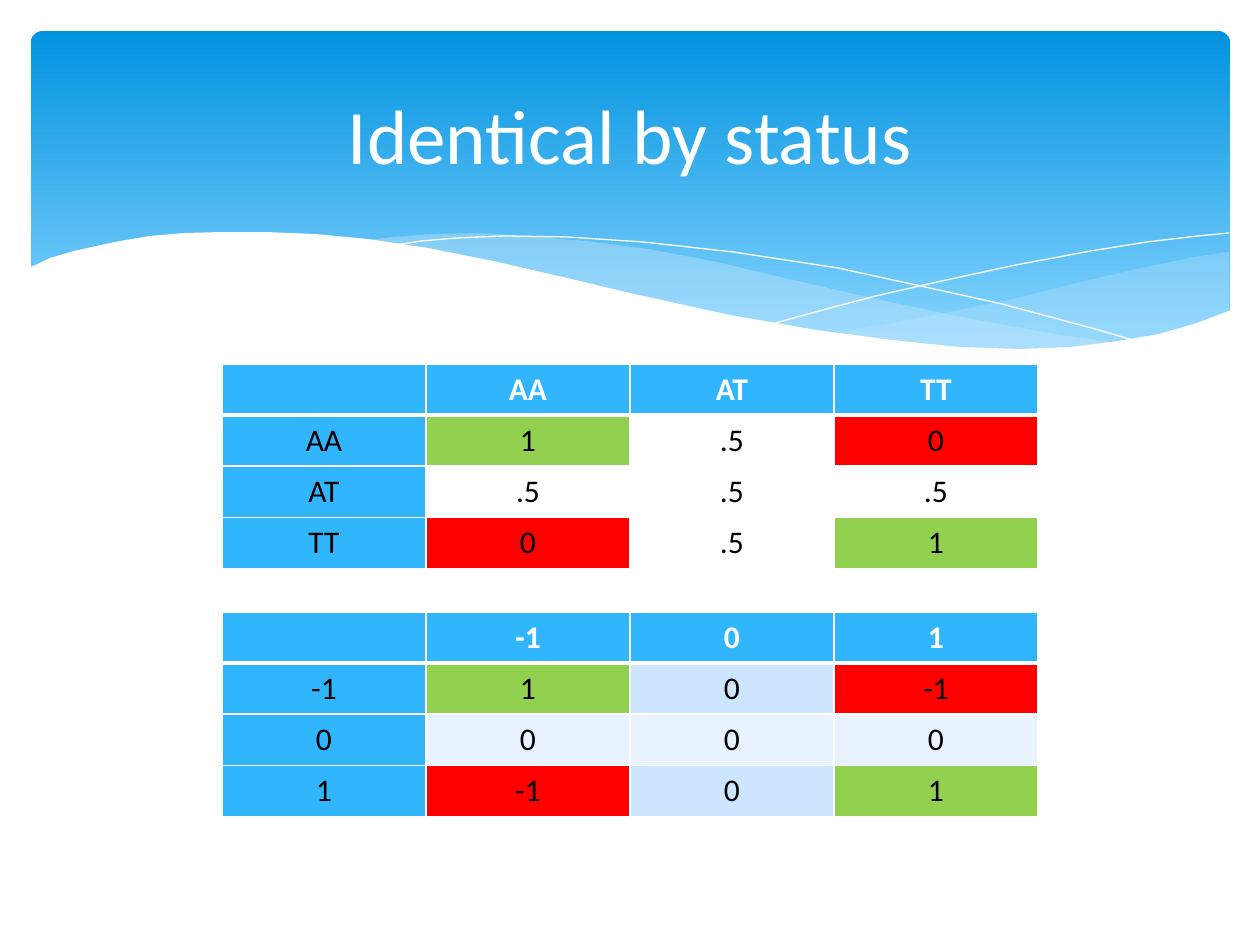
from dataclasses import dataclass

from lxml.etree import SubElement
from pptx import Presentation
from pptx.dml.color import RGBColor
from pptx.enum.shapes import MSO_SHAPE
from pptx.enum.text import MSO_ANCHOR, PP_ALIGN
from pptx.oxml.ns import qn
from pptx.util import Pt


@dataclass(frozen=True)
class Theme:
    font: str = "Calibri"
    title_size: int = 44
    cell_size: int = 18
    white: str = "FFFFFF"
    black: str = "000000"
    sky_top: str = "0293E0"
    sky_bottom: str = "83D3FE"
    wave: str = "C6E7FC"
    header: str = "31B6FD"
    match: str = "92D050"
    mismatch: str = "FF0000"
    band_dark: str = "CEE5FE"
    band_light: str = "E8F3FF"


theme = Theme()
PX = 914400 / 126


def px(*lengths):
    return [round(length * PX) for length in lengths]


def style_text(frame, size, color, bold=False):
    for para in frame.paragraphs:
        para.alignment = PP_ALIGN.CENTER
        for span in para.runs:
            span.font.name = theme.font
            span.font.size = Pt(size)
            span.font.bold = bold
            span.font.color.rgb = RGBColor.from_string(color)


deck = Presentation()
deck.slide_width, deck.slide_height = px(1260, 945)
page = deck.slides.add_slide(deck.slide_layouts[5])

# Blue gradient banner
banner = page.shapes.add_shape(MSO_SHAPE.ROUNDED_RECTANGLE, *px(31, 31, 1199, 340))
banner.shadow.inherit = False
banner.adjustments[0] = 0.034
banner.line.fill.background()
banner.fill.gradient()
banner.fill.gradient_angle = 270
sky = [(0, theme.sky_top), (0.9, theme.sky_bottom)]
for stop, (position, color) in zip(banner.fill.gradient_stops, sky):
    stop.position = position
    stop.color.rgb = RGBColor.from_string(color)

# Waves, back to front: outline points, fill colour (None for a line), opacity in %
right_wave = [
    (1229, 252), (1194, 257), (1142, 268), (1085, 281), (1014, 299), (949, 312),
    (889, 324), (833, 334), (888, 341), (954, 348), (1012, 350), (1064, 349),
    (1110, 345), (1150, 338), (1187, 329), (1229, 311),
]
middle_wave = [
    (360, 241), (394, 237), (433, 234), (479, 233), (529, 236), (586, 241),
    (648, 249), (717, 262), (793, 280), (890, 302), (977, 320), (1055, 334),
    (1125, 344), (1080, 349), (1031, 350), (974, 349), (910, 343), (838, 335),
    (757, 321), (668, 302), (566, 280), (509, 266), (456, 256), (407, 247),
]
falling_line = [
    (389, 246), (422, 241), (457, 238), (505, 236), (567, 237), (643, 242),
    (733, 252), (838, 268), (916, 285), (1002, 304), (1095, 329), (1143, 343),
]
rising_line = [
    (772, 324), (823, 310), (876, 296), (942, 281), (1016, 265), (1091, 251),
    (1147, 242), (1198, 236), (1229, 233),
]
front_wave = [
    (1231, 310), (1197, 323), (1159, 334), (1118, 341), (1071, 347), (1019, 349),
    (959, 347), (892, 340), (816, 330), (730, 315), (634, 294), (563, 277),
    (493, 261), (428, 248), (368, 239), (315, 234), (266, 232), (223, 232),
    (184, 233), (150, 236), (120, 241), (96, 246), (74, 251), (50, 258),
    (29, 268), (29, 415), (1231, 415),
]
waves = [
    (right_wave, theme.wave, 29),
    (middle_wave, theme.wave, 40),
    (falling_line, None, 100),
    (rising_line, None, 100),
    (front_wave, theme.white, 100),
]
for points, color, opacity in waves:
    builder = page.shapes.build_freeform(*points[0], scale=PX)
    builder.add_line_segments(points[1:], close=color is not None)
    wave = builder.convert_to_shape()
    wave.shadow.inherit = False
    if color is None:
        wave.fill.background()
        wave.line.color.rgb = RGBColor.from_string(theme.white)
        wave.line.width = Pt(0)
        continue
    wave.line.fill.background()
    wave.fill.solid()
    wave.fill.fore_color.rgb = RGBColor.from_string(color)
    if opacity < 100:
        tint = wave.element.spPr.find(qn("a:solidFill")).find(qn("a:srgbClr"))
        SubElement(tint, qn("a:alpha"), val=str(opacity * 1000))

# Title, brought in front of the banner
title = page.shapes.title
title.element.getparent().append(title.element)
title.left, title.top, title.width, title.height = px(63, 47, 1134, 173)
title.text_frame.text = "Identical by status"
title.text_frame.vertical_anchor = MSO_ANCHOR.MIDDLE
style_text(title.text_frame, theme.title_size, theme.white)

# Similarity tables: top, genotype labels, scores, plain fills of odd and even rows
COLUMN, ROW = 204, 51
tables = [
    (364, ["AA", "AT", "TT"],
     [["1", ".5", "0"], [".5", ".5", ".5"], ["0", ".5", "1"]],
     (theme.white, theme.white)),
    (612, ["-1", "0", "1"],
     [["1", "0", "-1"], ["0", "0", "0"], ["-1", "0", "1"]],
     (theme.band_dark, theme.band_light)),
]
for top, labels, scores, bands in tables:
    rows = [["", *labels]] + [[label, *line] for label, line in zip(labels, scores)]
    size = len(rows)
    frame = page.shapes.add_table(size, size, *px(222, top, COLUMN * size, ROW * size))
    table = frame.table
    for i, row in enumerate(rows):
        table.rows[i].height = px(ROW)[0]
        table.columns[i].width = px(COLUMN)[0]
        for j, text in enumerate(row):
            cell = table.cell(i, j)
            cell.text_frame.text = text
            is_header = i == 0
            style_text(cell.text_frame, theme.cell_size,
                       theme.white if is_header else theme.black, is_header)

            # White borders, heavier under the header row
            for side in ("L", "R", "T", "B"):
                heavy = (i, side) in [(0, "B"), (1, "T")]
                border = SubElement(cell._tc.get_or_add_tcPr(), qn(f"a:ln{side}"),
                                    w=str(Pt(3 if heavy else 1)))
                paint = SubElement(border, qn("a:solidFill"))
                SubElement(paint, qn("a:srgbClr"), val=theme.white)

            # Labels blue, full matches green, opposite corners red
            if i == 0 or j == 0:
                color = theme.header
            elif i == j and i != 2:
                color = theme.match
            elif {i, j} == {1, 3}:
                color = theme.mismatch
            else:
                color = bands[(i - 1) % 2]
            cell.fill.solid()
            cell.fill.fore_color.rgb = RGBColor.from_string(color)

deck.save("out.pptx")
